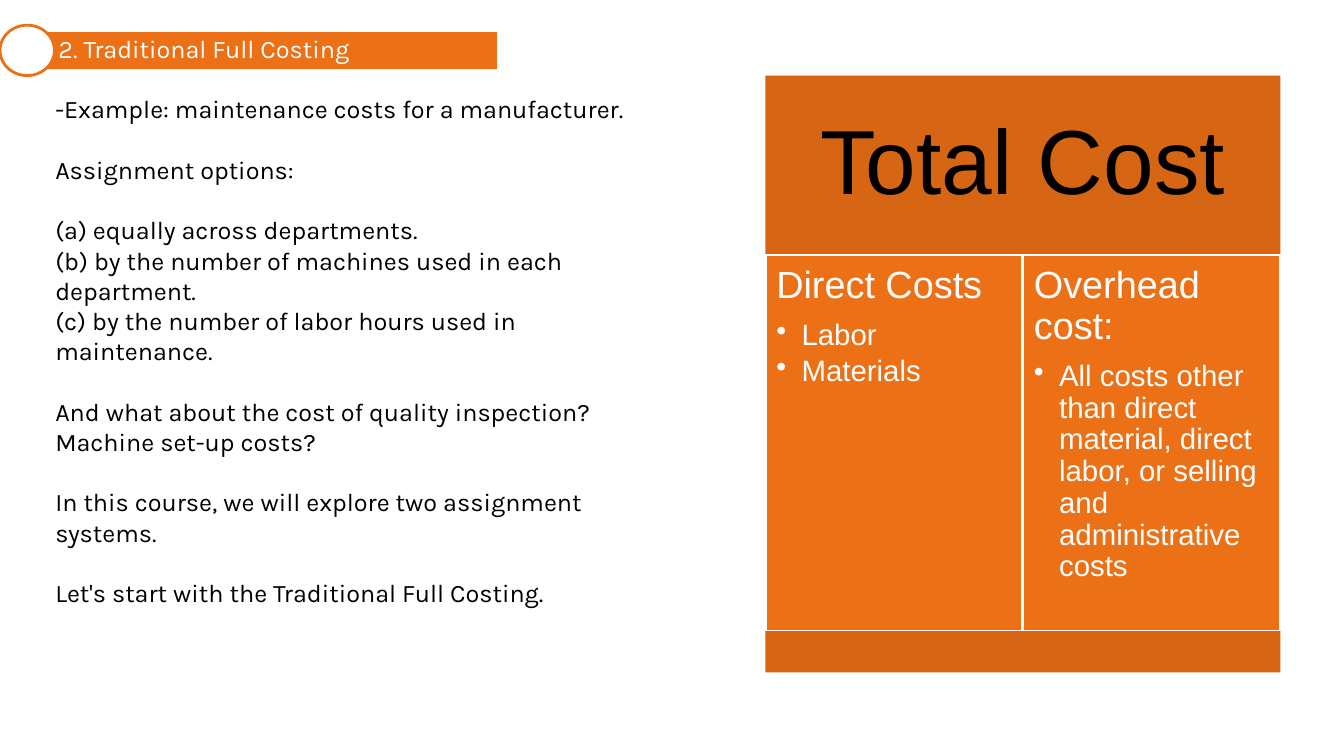
"""Build the Traditional Full Costing slide."""
from dataclasses import dataclass

from lxml.etree import SubElement
from pptx import Presentation
from pptx.dml.color import RGBColor
from pptx.enum.shapes import MSO_SHAPE
from pptx.enum.text import MSO_ANCHOR, MSO_AUTO_SIZE, PP_ALIGN
from pptx.oxml.ns import qn
from pptx.util import Inches, Pt

TITLE = "2. Traditional Full Costing"
DISCUSSION = [
    ["-Example: maintenance costs for a manufacturer."],
    ["Assignment options:"],
    [
        "(a) equally across departments.",
        "(b) by the number of machines used in each department.",
        "(c) by the number of labor hours used in maintenance.",
    ],
    ["And what about the cost of quality inspection? Machine set-up costs?"],
    ["In this course, we will explore two assignment systems."],
    ["Let's start with the Traditional Full Costing."],
]
TOTAL = "Total Cost"
COSTS = [
    ("Direct Costs", ["Labor", "Materials"]),
    ("Overhead cost:", ["All costs other than direct material, direct labor, "
                        "or selling and administrative costs"]),
]


@dataclass(frozen=True)
class Theme:
    """Colours, fonts and type sizes."""
    orange: RGBColor = RGBColor(0xEC, 0x70, 0x16)
    dark_orange: RGBColor = RGBColor(0xD6, 0x66, 0x14)
    white: RGBColor = RGBColor(0xFF, 0xFF, 0xFF)
    black: RGBColor = RGBColor(0, 0, 0)
    body_font: str = "Karla"
    chart_font: str = "Arial"
    body: int = 18
    total: int = 65
    heading: int = 27
    bullet: int = 21


THEME = Theme()
CHART_LEFT, CHART_TOP, CHART_WIDTH = 7.59, 0.75, 5.11
TOTAL_HEIGHT, COST_HEIGHT, FOOT_HEIGHT = 1.78, 3.73, 0.41


def paint(shape, fill, line=None):
    """Give a shape a solid fill and an optional outline."""
    shape.fill.solid()
    shape.fill.fore_color.rgb = fill
    if line is None:
        shape.line.fill.background()
    else:
        shape.line.color.rgb = line
        shape.line.width = Pt(2)


def add_panel(page, kind, place, fill, line=None):
    """Add a flat preset shape at a place given in inches."""
    shape = page.shapes.add_shape(kind, *map(Inches, place))
    shape.shadow.inherit = False
    paint(shape, fill, line)
    return shape


def set_frame(frame, anchor, insets):
    """Set wrapping, anchor and the left, top, right and bottom insets."""
    frame.word_wrap = True
    frame.auto_size = MSO_AUTO_SIZE.NONE
    frame.vertical_anchor = anchor
    (frame.margin_left, frame.margin_top,
     frame.margin_right, frame.margin_bottom) = map(Inches, insets)


def write(frame, text, font, size, color, align=PP_ALIGN.LEFT, spacing=0.9, after=0):
    """Write a paragraph, using the empty first one when there is one."""
    first = frame.paragraphs[0]
    para = frame.add_paragraph() if first.runs else first
    para.text = text
    para.alignment = align
    para.line_spacing = spacing
    para.space_before = Pt(0)
    para.space_after = Pt(after)
    para.font.name = font
    para.font.size = Pt(size)
    para.font.color.rgb = color
    return para


def add_bullet(para):
    """Give a paragraph a round bullet with a hanging indent."""
    para.level = 1
    properties = para._p.get_or_add_pPr()
    properties.set("marL", str(Inches(0.25)))
    properties.set("indent", str(Inches(-0.25)))
    SubElement(properties, qn("a:buChar"), char="•")


def add_title(page):
    """Turn the title into a banner with a ring at its left end."""
    title = page.shapes.title
    title.left, title.top, title.width, title.height = map(Inches, (0.27, 0.3, 4.67, 0.4))
    paint(title, THEME.orange, THEME.white)
    set_frame(title.text_frame, MSO_ANCHOR.MIDDLE, (0.31, 0.05, 0.05, 0.05))
    write(title.text_frame, TITLE, THEME.body_font, THEME.body, THEME.white)
    add_panel(page, MSO_SHAPE.OVAL, (0, 0.25, 0.54, 0.5), THEME.white, THEME.orange)


def add_discussion(page):
    """Write the discussion, with a line of space between its groups."""
    box = page.shapes.add_textbox(*map(Inches, (0.45, 0.88, 5.92, 5.5)))
    set_frame(box.text_frame, MSO_ANCHOR.TOP, (0.1, 0.05, 0.1, 0.05))
    for group in DISCUSSION:
        for line in group:
            after = 21.6 if line == group[-1] and group != DISCUSSION[-1] else 0
            write(box.text_frame, line, THEME.body_font, THEME.body, THEME.black,
                  spacing=1.0, after=after)


def add_cost_chart(page):
    """Stack the total, the cost columns and the foot."""
    total = add_panel(page, MSO_SHAPE.RECTANGLE,
                      (CHART_LEFT, CHART_TOP, CHART_WIDTH, TOTAL_HEIGHT), THEME.dark_orange)
    set_frame(total.text_frame, MSO_ANCHOR.MIDDLE, (0.27,) * 4)
    write(total.text_frame, TOTAL, THEME.chart_font, THEME.total, THEME.black,
          PP_ALIGN.CENTER)
    cost_top = CHART_TOP + TOTAL_HEIGHT
    cost_width = CHART_WIDTH / len(COSTS)
    for index, (heading, items) in enumerate(COSTS):
        place = (CHART_LEFT + index * cost_width, cost_top, cost_width, COST_HEIGHT)
        column = add_panel(page, MSO_SHAPE.RECTANGLE, place, THEME.orange, THEME.white)
        frame = column.text_frame
        set_frame(frame, MSO_ANCHOR.TOP, (0.11,) * 4)
        write(frame, heading, THEME.chart_font, THEME.heading, THEME.white, after=9.5)
        for item in items:
            add_bullet(write(frame, item, THEME.chart_font, THEME.bullet, THEME.white,
                             after=3.2))
    add_panel(page, MSO_SHAPE.RECTANGLE,
              (CHART_LEFT, cost_top + COST_HEIGHT, CHART_WIDTH, FOOT_HEIGHT),
              THEME.dark_orange)


def main():
    """Build and save the deck."""
    deck = Presentation()
    deck.slide_width, deck.slide_height = Inches(13.33), Inches(7.5)
    page = deck.slides.add_slide(deck.slide_layouts[5])
    add_title(page)
    add_cost_chart(page)
    add_discussion(page)
    deck.save("out.pptx")


if __name__ == "__main__":
    main()
